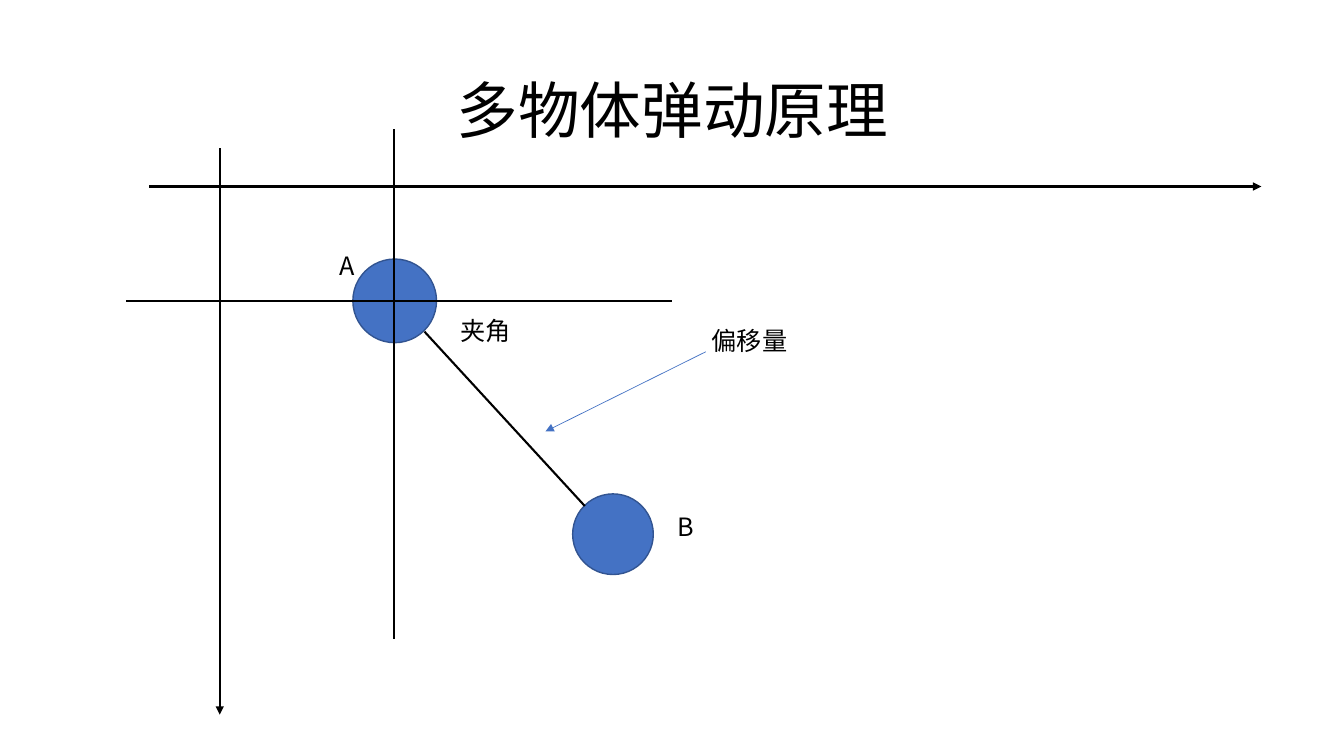
from dataclasses import dataclass

from lxml import etree
from pptx import Presentation
from pptx.dml.color import RGBColor
from pptx.enum import shapes, text
from pptx.oxml.ns import qn
from pptx.util import Inches, Pt


@dataclass(frozen=True)
class Theme:
    font: str = "Noto Sans CJK SC"
    ink: str = "000000"
    blue: str = "4472C4"
    edge: str = "325491"
    title: float = 44
    label: float = 18
    thick: float = 1.5
    rim: float = 1
    thin: float = 0.5


THEME = Theme()
TITLE = "多物体弹动原理"
TITLE_BOX = (0.92, 0.4, 11.5, 1.45)

# left, top, diameter
BALLS = [(3.5, 2.57, 0.83), (5.68, 4.9, 0.8)]

# start, end, arrowhead
LINES = [
    ((4.21, 3.29), (5.8, 5.02), False),
    ((1.48, 1.85), (12.51, 1.85), True),
    ((2.18, 1.47), (2.18, 7.09), True),
    ((1.25, 2.99), (6.67, 2.99), False),
    ((3.91, 1.28), (3.91, 6.34), False),
]
POINTER = ((7, 3.49), (5.41, 4.28), True)

# text, left, top, width
LABELS = [
    ("夹角", 4.47, 3.08, 0.71),
    ("A", 3.27, 2.43, 0.36),
    ("B", 6.62, 5.02, 0.34),
    ("偏移量", 6.96, 3.18, 0.96),
]
LABEL_H = 0.4


def color(code):
    return RGBColor.from_string(code)


def style(par, size):
    """Format every run, with the font set for Latin and East Asian text."""
    for run in par.runs:
        font = run.font
        font.name, font.size = THEME.font, Pt(size)
        font.color.rgb = color(THEME.ink)
        props = run._r.get_or_add_rPr()
        east = etree.Element(qn("a:ea"), typeface=THEME.font)
        props.find(qn("a:latin")).addnext(east)


def add_title(slide):
    title = slide.shapes.title
    title.left, title.top, title.width, title.height = map(Inches, TITLE_BOX)
    frame = title.text_frame
    frame.text = TITLE
    frame.vertical_anchor = text.MSO_ANCHOR.MIDDLE
    par = frame.paragraphs[0]
    par.alignment = text.PP_ALIGN.CENTER
    par.line_spacing = 0.9
    style(par, THEME.title)


def add_ball(slide, left, top, size):
    box = map(Inches, (left, top, size, size))
    ball = slide.shapes.add_shape(shapes.MSO_SHAPE.OVAL, *box)
    ball.shadow.inherit = False
    ball.fill.solid()
    ball.fill.fore_color.rgb = color(THEME.blue)
    ball.line.color.rgb = color(THEME.edge)
    ball.line.width = Pt(THEME.rim)


def add_line(slide, start, end, arrow, ink, width):
    ends = map(Inches, (*start, *end))
    link = slide.shapes.add_connector(shapes.MSO_CONNECTOR.STRAIGHT, *ends)
    link.line.color.rgb = color(ink)
    link.line.width = Pt(width)
    if arrow:
        etree.SubElement(link.line._get_or_add_ln(), qn("a:tailEnd"), type="triangle")
    etree.SubElement(link._element.spPr, qn("a:effectLst"))


def add_label(slide, words, left, top, width):
    box = slide.shapes.add_textbox(*map(Inches, (left, top, width, LABEL_H)))
    frame = box.text_frame
    frame.text = words
    frame.word_wrap = False
    frame.auto_size = text.MSO_AUTO_SIZE.SHAPE_TO_FIT_TEXT
    style(frame.paragraphs[0], THEME.label)


def main():
    deck = Presentation()
    deck.slide_width, deck.slide_height = Inches(13.33), Inches(7.5)
    slide = deck.slides.add_slide(deck.slide_layouts.get_by_name("Title Only"))
    add_title(slide)
    for ball in BALLS:
        add_ball(slide, *ball)
    for line in LINES:
        add_line(slide, *line, THEME.ink, THEME.thick)
    add_line(slide, *POINTER, THEME.blue, THEME.thin)
    for label in LABELS:
        add_label(slide, *label)
    deck.save("out.pptx")


if __name__ == "__main__":
    main()
